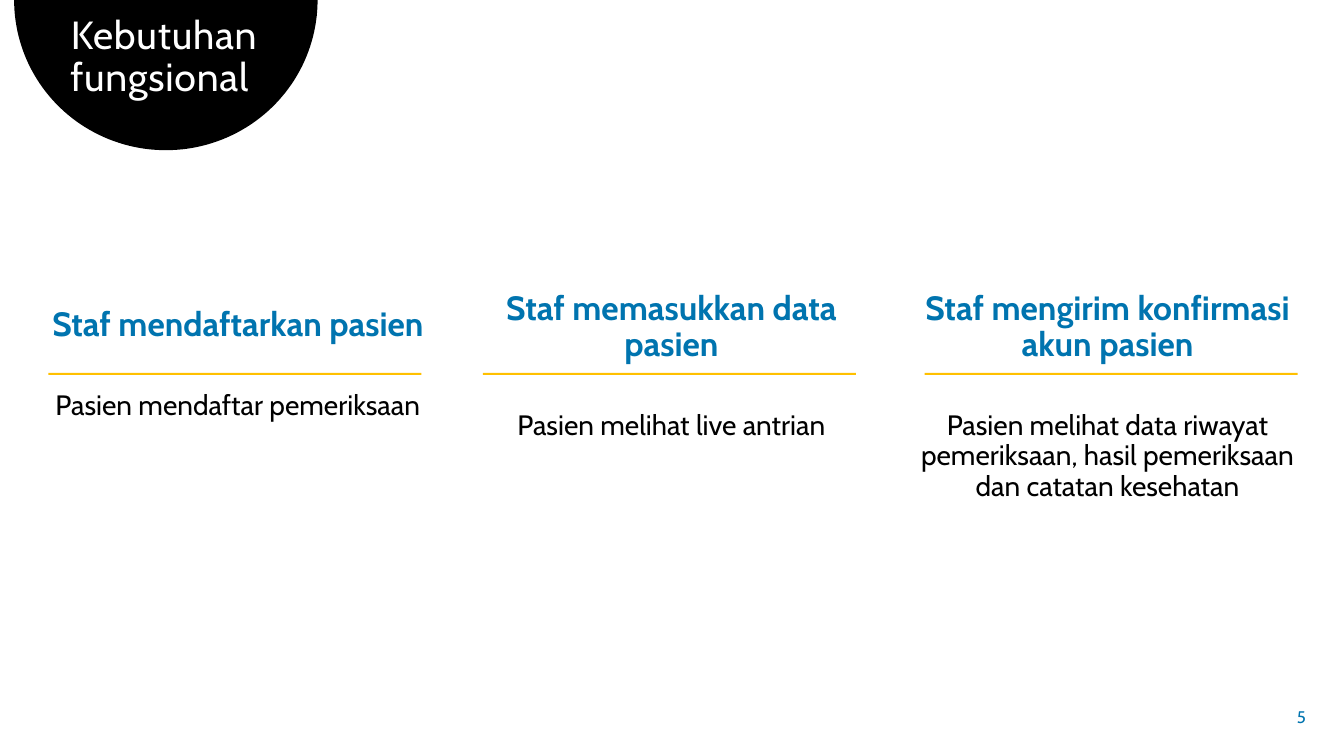
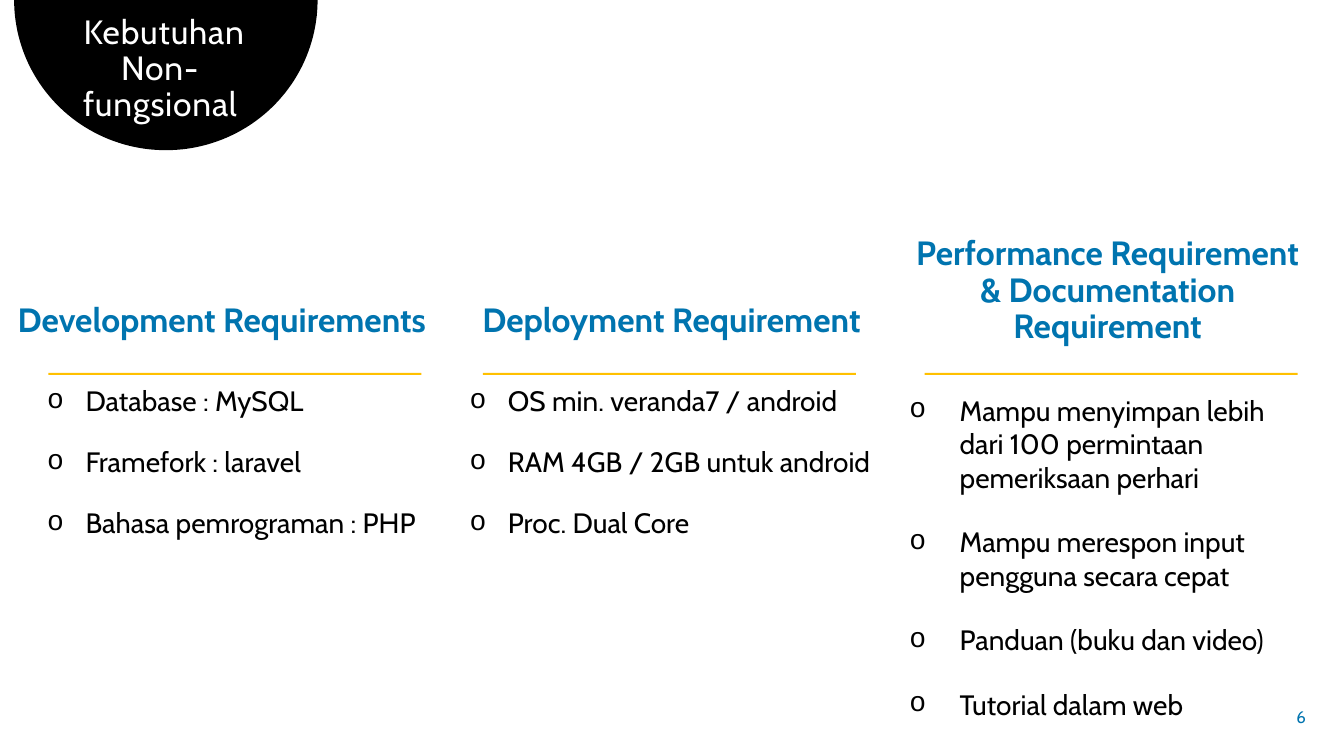
import math

from lxml import etree
from pptx import Presentation
from pptx.dml.color import RGBColor
from pptx.enum.shapes import MSO_SHAPE
from pptx.enum.text import MSO_ANCHOR, MSO_AUTO_SIZE, PP_ALIGN
from pptx.oxml.ns import qn
from pptx.util import Inches, Pt

RECTANGLE = MSO_SHAPE.RECTANGLE
TOP, MIDDLE = MSO_ANCHOR.TOP, MSO_ANCHOR.MIDDLE
LEFT, CENTER, RIGHT = PP_ALIGN.LEFT, PP_ALIGN.CENTER, PP_ALIGN.RIGHT
NO_FIT = MSO_AUTO_SIZE.NONE

FONT = "Cabin"
BLACK, WHITE, BLUE, AMBER = "000000", "FFFFFF", "0074AF", "FFC000"
TITLE_ONLY = 5

DISC_BOX = (0.14, 0, 3.01, 1.49)
TITLE_LEFT, TITLE_TOP, TITLE_WIDTH = 0.31, 0.1, 2.64
RULE_LEFTS, RULE_TOP, RULE_WIDTH, RULE_HEIGHT = (0.48, 4.79, 9.17), 3.7, 3.7, 0.02
NUMBER_BOX = (12.5, 6.91, 0.55, 0.4)

HEADING_FONT = {"size": Pt(24), "bold": True}
DETAIL_FONT = {"size": Pt(20), "bold": False}
HEADING_FORMAT = {"alignment": CENTER, "line_spacing": 0.9, "space_after": Pt(24)}
DETAIL_FORMAT = {"line_spacing": 0.9, "space_before": Pt(10), "space_after": Pt(12)}

# Each column: box, heading, details, and for bullets the indent and hanging width
SLIDES = [
    {
        "number": 5, "title": "Kebutuhan\vfungsional ", "title_size": 28, "title_height": 0.95,
        "columns": [
            {"box": (0.33, 3, 4.06, 1.24), "heading": "Staf mendaftarkan pasien",
             "details": ["Pasien mendaftar pemeriksaan"]},
            {"box": (4.56, 2.84, 4.2, 1.61), "heading": "Staf memasukkan data pasien",
             "details": ["Pasien melihat live antrian"]},
            {"box": (8.92, 2.84, 4.13, 2.21), "heading": "Staf mengirim konfirmasi akun pasien",
             "details": ["Pasien melihat data riwayat pemeriksaan, hasil pemeriksaan "
                         "dan catatan kesehatan"]},
        ],
    },
    {
        "number": 6, "title": "Kebutuhan\vNon- \vfungsional ", "title_size": 24,
        "title_height": 1.19,
        "columns": [
            {"box": (0, 2.96, 4.4, 3.39), "heading": "Development Requirements",
             "details": ["Database : MySQL", "Framefork : laravel", "Bahasa pemrograman : PHP"],
             "bullet": (0.75, 0.38)},
            {"box": (4.56, 2.96, 4.2, 2.77), "heading": "Deployment Requirement",
             "details": ["OS min. veranda7 / android", "RAM 4GB / 2GB untuk android",
                         "Proc. Dual Core"],
             "bullet": (0.38, 0.38)},
            {"box": (8.92, 2.3, 4.13, 4.95),
             "heading": "Performance Requirement & Documentation Requirement",
             "details": ["Mampu menyimpan lebih dari 100 permintaan pemeriksaan perhari",
                         "Mampu merespon input pengguna secara cepat",
                         "Panduan (buku dan video)", "Tutorial dalam web"],
             "bullet": (0.5, 0.5), "line_spacing": 1.0},
        ],
    },
]


def color(value):
    return RGBColor.from_string(value)


def apply(target, values):
    for name, value in values.items():
        setattr(target, name, value)


def format_font(font, value, **values):
    apply(font, {"name": FONT, **values})
    font.color.rgb = color(value)


def paint(shape, value):
    shape.fill.solid()
    shape.fill.fore_color.rgb = color(value)
    shape.line.fill.background()
    shape.shadow.inherit = False


def add_text_box(page, box, anchor=TOP):
    frame = page.shapes.add_textbox(*map(Inches, box)).text_frame
    apply(frame, {"word_wrap": True, "auto_size": NO_FIT, "vertical_anchor": anchor})
    return frame


def add_bullet(para, indent, hanging):
    properties = para._p.get_or_add_pPr()
    properties.set("marL", str(Inches(indent)))
    properties.set("indent", str(-Inches(hanging)))
    etree.SubElement(properties, qn("a:buFont")).set("typeface", "Courier New")
    etree.SubElement(properties, qn("a:buChar")).set("char", "o")


def add_half_disc(page, box):
    left, top, width, height = box
    radius = width / 2
    points = [
        (Inches(left + radius + radius * math.cos(math.radians(angle))),
         Inches(top + height * math.sin(math.radians(angle))))
        for angle in range(0, 181, 2)
    ]
    outline = page.shapes.build_freeform(*points[0])
    outline.add_line_segments(points[1:], close=True)
    paint(outline.convert_to_shape(), BLACK)


def add_title(page, text, size, height):
    title = page.shapes.title
    page.shapes._spTree.append(title._element)  # in front of the half disc
    apply(title, {"left": Inches(TITLE_LEFT), "top": Inches(TITLE_TOP),
                  "width": Inches(TITLE_WIDTH), "height": Inches(height)})
    frame = title.text_frame
    apply(frame, {"text": text, "word_wrap": True, "auto_size": NO_FIT, "vertical_anchor": TOP})
    para = frame.paragraphs[0]
    apply(para, {"alignment": CENTER, "line_spacing": 0.9, "space_before": Pt(0)})
    for span in para.runs:
        format_font(span.font, WHITE, size=Pt(size))
        span._r.get_or_add_rPr().set("spc", "60")


def add_column(page, box, heading, details, bullet=None, line_spacing=0.9):
    frame = add_text_box(page, box)
    para = frame.paragraphs[0]
    para.text = heading
    apply(para, HEADING_FORMAT)
    format_font(para.runs[0].font, BLUE, **HEADING_FONT)
    for detail in details:
        para = frame.add_paragraph()
        para.text = detail
        apply(para, {**DETAIL_FORMAT, "line_spacing": line_spacing,
                     "alignment": LEFT if bullet else CENTER})
        if bullet:
            add_bullet(para, *bullet)
        format_font(para.runs[0].font, BLACK, **DETAIL_FONT)


def add_rules(page):
    for left in RULE_LEFTS:
        box = (left, RULE_TOP, RULE_WIDTH, RULE_HEIGHT)
        paint(page.shapes.add_shape(RECTANGLE, *map(Inches, box)), AMBER)


def add_page_number(page, number):
    para = add_text_box(page, NUMBER_BOX, MIDDLE).paragraphs[0]
    apply(para, {"text": str(number), "alignment": RIGHT})
    format_font(para.runs[0].font, BLUE, size=Pt(12))


def add_requirements_slide(deck, content):
    page = deck.slides.add_slide(deck.slide_layouts[TITLE_ONLY])
    add_half_disc(page, DISC_BOX)
    for column in content["columns"]:
        add_column(page, **column)
    add_title(page, content["title"], content["title_size"], content["title_height"])
    add_rules(page)
    add_page_number(page, content["number"])


def main():
    deck = Presentation()
    apply(deck, {"slide_width": Inches(13.33), "slide_height": Inches(7.5)})
    for content in SLIDES:
        add_requirements_slide(deck, content)
    deck.save("out.pptx")


if __name__ == "__main__":
    main()
